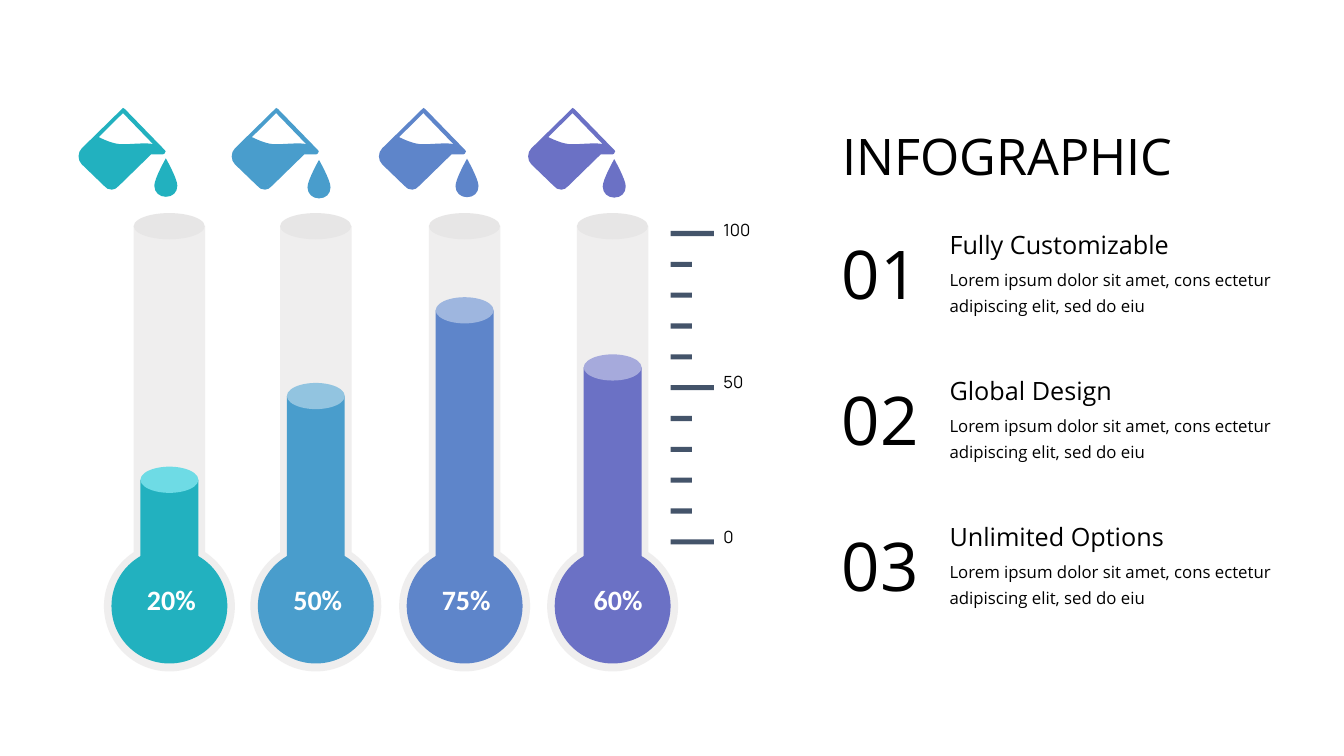
"""Build a thermometer infographic slide with four filled tubes and three text points."""
from lxml import etree
from pptx import Presentation, util as u
from pptx.dml.color import RGBColor
from pptx.enum import shapes, text
from pptx.oxml import ns

Cm = u.Cm
OVAL, BAR = shapes.MSO_SHAPE.OVAL, shapes.MSO_SHAPE.RECTANGLE

theme = {
    "glass": "E7E6E6",
    "glass_alpha": "65000",
    "tick": "44546A",
    "title": {"color": "000000", "font": {"name": "Open Sans", "size": u.Pt(36)}},
    "number": {"color": "000000", "font": {"name": "Open Sans", "size": u.Pt(48)}},
    "heading": {"color": "000000", "font": {"name": "Open Sans", "size": u.Pt(18)}},
    "body": {"color": "000000", "font": {"name": "Open Sans", "size": u.Pt(12)},
             "paragraph": {"line_spacing": 1.25}},
    "scale": {"color": "000000", "font": {"name": "Manrope", "size": u.Pt(12)}},
    "percent": {"color": "FFFFFF", "font": {"name": "Calibri", "size": u.Pt(20), "bold": True},
                "paragraph": {"alignment": text.PP_ALIGN.CENTER}},
    "paints": [("22B1BF", "6EDBE5"), ("499DCC", "92C4E0"),
               ("5E85CA", "9EB6DF"), ("6B71C5", "A6AADC")],
}

presentation = Presentation()
presentation.slide_width, presentation.slide_height = Cm(33.87), Cm(19.05)
slide = presentation.slides.add_slide(presentation.slide_layouts[6])


def draw(outline, box, color):
    """Draw a preset in a box, or contours of lines (2 numbers) and curves (6) from its corner."""
    if isinstance(outline, list):
        builder = None
        for start, *segments in outline:
            corner = Cm(start[0]), Cm(start[1])
            if builder is None:
                builder = slide.shapes.build_freeform(*corner)
            else:
                builder.move_to(*corner)
            points = [(Cm(segment[k]), Cm(segment[k + 1]))
                      for segment in segments for k in range(0, len(segment), 2)]
            builder.add_line_segments(points, close=True)
        shape = builder.convert_to_shape(*map(Cm, box[:2]))
        lines = iter(shape.element.findall(".//" + ns.qn("a:lnTo")))
        for segment in (segment for contour in outline for segment in contour[1:]):
            line = next(lines)
            if len(segment) == 6:
                curve = etree.Element(ns.qn("a:cubicBezTo"))
                line.addprevious(curve)
                for knot in (line, next(lines), next(lines)):
                    curve.append(knot[0])
                    knot.getparent().remove(knot)
    else:
        shape = slide.shapes.add_shape(outline, *map(Cm, box))
    shape.shadow.inherit = False
    shape.fill.solid()
    shape.fill.fore_color.rgb = RGBColor.from_string(color)
    shape.line.fill.background()
    return shape


def write(content, box, style, inset=(0, 0), wrap=False):
    """Write one paragraph in a text box with a theme style."""
    frame = slide.shapes.add_textbox(*map(Cm, box)).text_frame
    across, down = map(Cm, inset)
    frame_format = {"margin_left": across, "margin_right": across, "margin_top": down,
                    "margin_bottom": down, "word_wrap": wrap,
                    "auto_size": text.MSO_AUTO_SIZE.SHAPE_TO_FIT_TEXT}
    paragraph = frame.paragraphs[0]
    run = paragraph.add_run()
    run.text = content
    for target, values in ((frame, frame_format), (paragraph, theme[style].get("paragraph", {})),
                           (run.font, theme[style]["font"])):
        for name, value in values.items():
            setattr(target, name, value)
    run.font.color.rgb = RGBColor.from_string(theme[style]["color"])


tube = [[(-0.9, 0), (0.9, 0), (0.9, 8.23), (0.91, 8.23), (1.35, 8.53, 1.65, 9.02, 1.65, 9.58),
         (1.65, 10.49, 0.91, 11.23, 0, 11.23), (-0.91, 11.23, -1.65, 10.49, -1.65, 9.58),
         (-1.65, 9.02, -1.35, 8.53, -0.91, 8.23), (-0.9, 8.23)]]
drop = [[(0.58, 0.69), (0.58, 0.86, 0.46, 0.97, 0.29, 0.97), (0.13, 0.97, 0, 0.86, 0, 0.69),
         (0, 0.51, 0.29, 0, 0.29, 0), (0.29, 0, 0.58, 0.51, 0.58, 0.69)]]
bucket_paint = [[(1.98, 0.94), (1.78, 0.84, 1.22, 0.94, 1.02, 0.91),
                 (0.79, 0.89, 0.46, 0.71, 0.46, 0.71), (0.1, 1.02), (0.03, 1.19), (0.03, 1.3),
                 (0.66, 1.96), (0.81, 2.01), (0.99, 1.91), (1.78, 1.12), (2.08, 1.12)]]
bucket = [
    [(0.84, 2.06), (0.76, 2.06, 0.69, 2.03, 0.64, 1.96), (0.08, 1.42),
     (0.03, 1.37, 0, 1.3, 0, 1.22), (0, 1.14, 0.03, 1.07, 0.08, 1.02), (1.09, 0.03),
     (1.09, 0, 1.12, 0, 1.12, 0), (1.14, 0, 1.14, 0, 1.17, 0.03), (2.18, 1.07),
     (2.2, 1.09, 2.2, 1.12, 2.18, 1.12), (2.18, 1.14, 2.16, 1.17, 2.13, 1.17),
     (1.83, 1.17), (1.02, 1.96), (0.97, 2.03, 0.89, 2.06, 0.84, 2.06)],
    [(1.12, 0.13), (0.15, 1.09), (0.1, 1.12, 0.1, 1.17, 0.1, 1.22),
     (0.1, 1.27, 0.1, 1.32, 0.15, 1.35), (0.71, 1.91), (0.76, 1.98, 0.89, 1.98, 0.97, 1.91),
     (1.78, 1.07), (2.03, 1.07)],
]

thermometers = [
    ("20%", 4.27, 12.09, 4.32, 1.98, 3.89, 3.99),
    ("50%", 7.96, 9.98, 8.01, 5.84, 7.75, 4.03),
    ("75%", 11.71, 7.82, 11.75, 9.55, 11.48, 4),
    ("60%", 15.44, 9.26, 15.58, 13.31, 15.19, 4.01),
]
for thermometer, (paint, surface) in zip(thermometers, theme["paints"]):
    percent, center, level, label_center, bucket_left, drop_left, drop_top = thermometer
    glass = draw(tube, (center, 5.69), theme["glass"])
    glass_color = glass.element.spPr.find(".//" + ns.qn("a:srgbClr"))
    etree.SubElement(glass_color, ns.qn("a:alpha"), val=theme["glass_alpha"])
    draw(OVAL, (center - 0.9, 5.37, 1.79, 0.66), theme["glass"])
    draw(OVAL, (center - 1.46, 13.82, 2.92, 2.9), paint)
    draw(BAR, (center - 0.73, level, 1.46, 14.55 - level), paint)
    draw(OVAL, (center - 0.73, level - 0.33, 1.46, 0.66), surface)
    write(percent, (label_center - 1.17, 14.55, 2.34, 1.35), "percent", (0.25, 0.13))
    draw(bucket_paint, (bucket_left, 2.72), paint)
    draw(drop, (drop_left, drop_top), paint)
    draw(bucket, (bucket_left, 2.72), paint)

for tick in range(11):
    draw(BAR, (16.9, 5.82 + tick * 7.77 / 10, 0.54 if tick % 5 else 1.09, 0.13), theme["tick"])
for label, top, width in (("100", 5.41, 1.47), ("50", 9.25, 1.22), ("0", 13.14, 0.94)):
    write(label, (17.98, top, width, 0.94), "scale", (0.25, 0.13))

write("INFOGRAPHIC", (21.23, 3.15, 8.64, 1.55), "title")
points = [("Fully Customizable", 5.87), ("Global Design", 4.24), ("Unlimited Options", 5.66)]
for row, (heading, width) in enumerate(points):
    offset = row * 3.68
    write(f"{row + 1:02}", (21.22, 5.86 + offset, 1.96, 2.06), "number")
    write(heading, (23.93, 5.78 + offset, width, 0.76), "heading")
    write("Lorem ipsum dolor sit amet, cons ectetur adipiscing elit, sed do eiu",
          (23.93, 6.68 + offset, 8.31, 1.27), "body", wrap=True)

presentation.save("out.pptx")
